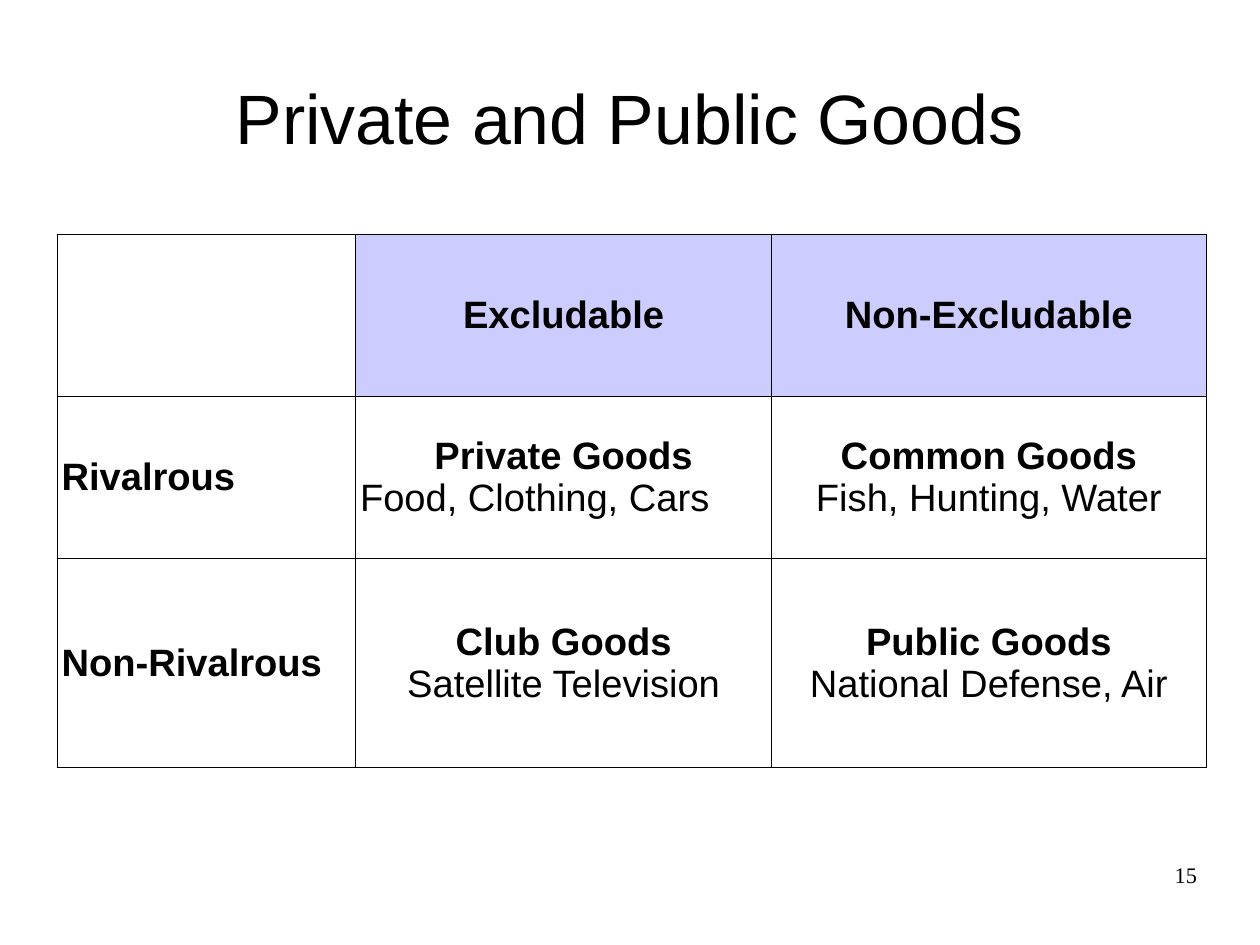
from lxml import etree
from pptx import Presentation
from pptx import util as u
from pptx.dml.color import RGBColor
from pptx.enum import text as t
from pptx.oxml import ns

PX = 3600  # 10 px to the millimetre
HUES = {"ink": "000000", "head": "CCCCFF"}
LEFT, MID, RIGHT = t.PP_ALIGN.LEFT, t.PP_ALIGN.CENTER, t.PP_ALIGN.RIGHT

COLS = [663, 925, 965]
ROWS = [360, 360, 465]
# Each cell is a list of (words, bold, align)
GOODS = [
    [[],
     [("Excludable", True, MID)],
     [("Non-Excludable", True, MID)]],
    [[("Rivalrous", True, LEFT)],
     [("Private Goods", True, MID), ("Food, Clothing, Cars", False, LEFT)],
     [("Common Goods", True, MID), ("Fish, Hunting, Water", False, MID)]],
    [[("Non-Rivalrous", True, LEFT)],
     [("Club Goods", True, MID), ("Satellite Television", False, MID)],
     [("Public Goods", True, MID), ("National Defense, Air", False, MID)]],
]


def px(*sizes):
    return [u.Emu(size * PX) for size in sizes]


def style(para, words, size, face, align, bold=False):
    para.text = words
    para.alignment = align
    font = para.font
    font.size, font.name, font.bold = u.Pt(size), face, bold
    font.color.rgb = RGBColor.from_string(HUES["ink"])


def add_text(slide, box, words, size, face, align, anchor):
    frame = slide.shapes.add_textbox(*px(*box)).text_frame
    frame.word_wrap = True
    frame.vertical_anchor = anchor
    frame.margin_left = frame.margin_right = 0
    frame.margin_top = frame.margin_bottom = 0
    style(frame.paragraphs[0], words, size, face, align)


def add_edges(cell):
    props = cell._tc.get_or_add_tcPr()
    for spot, side in enumerate(("lnL", "lnR", "lnT", "lnB")):
        line = etree.Element(ns.qn("a:" + side), w=str(u.Pt(0.57)))
        fill = etree.SubElement(line, ns.qn("a:solidFill"))
        etree.SubElement(fill, ns.qn("a:srgbClr"), val=HUES["ink"])
        props.insert(spot, line)


def fill_cell(cell, lines, head):
    cell.vertical_anchor = t.MSO_ANCHOR.MIDDLE
    cell.margin_left, cell.margin_right = px(10, 10)
    cell.margin_top, cell.margin_bottom = px(13, 13)
    if head:
        cell.fill.solid()
        cell.fill.fore_color.rgb = RGBColor.from_string(HUES["head"])
    else:
        cell.fill.background()
    add_edges(cell)
    frame = cell.text_frame
    for spot, (words, bold, align) in enumerate(lines):
        para = frame.add_paragraph() if spot else frame.paragraphs[0]
        style(para, words, 24, "Arial", align, bold)


def add_grid(slide, left, top):
    box = px(left, top, sum(COLS), sum(ROWS))
    grid = slide.shapes.add_table(len(ROWS), len(COLS), *box).table
    for col, wide in zip(grid.columns, px(*COLS)):
        col.width = wide
    for row, high in zip(grid.rows, px(*ROWS)):
        row.height = high
    for r, row in enumerate(GOODS):
        for c, lines in enumerate(row):
            fill_cell(grid.cell(r, c), lines, head=r == 0 and c > 0)


def main():
    deck = Presentation()
    deck.slide_width, deck.slide_height = px(2800, 2100)
    slide = deck.slides.add_slide(deck.slide_layouts[6])

    # Title
    add_text(slide, (140, 84, 2520, 350), "Private and Public Goods",
             44, "Arial", MID, t.MSO_ANCHOR.MIDDLE)
    # Table of goods
    add_grid(slide, 127, 521)
    # Page number
    add_text(slide, (2007, 1913, 653, 145), "15",
             14, "Times New Roman", RIGHT, t.MSO_ANCHOR.TOP)

    deck.save("out.pptx")


if __name__ == "__main__":
    main()
